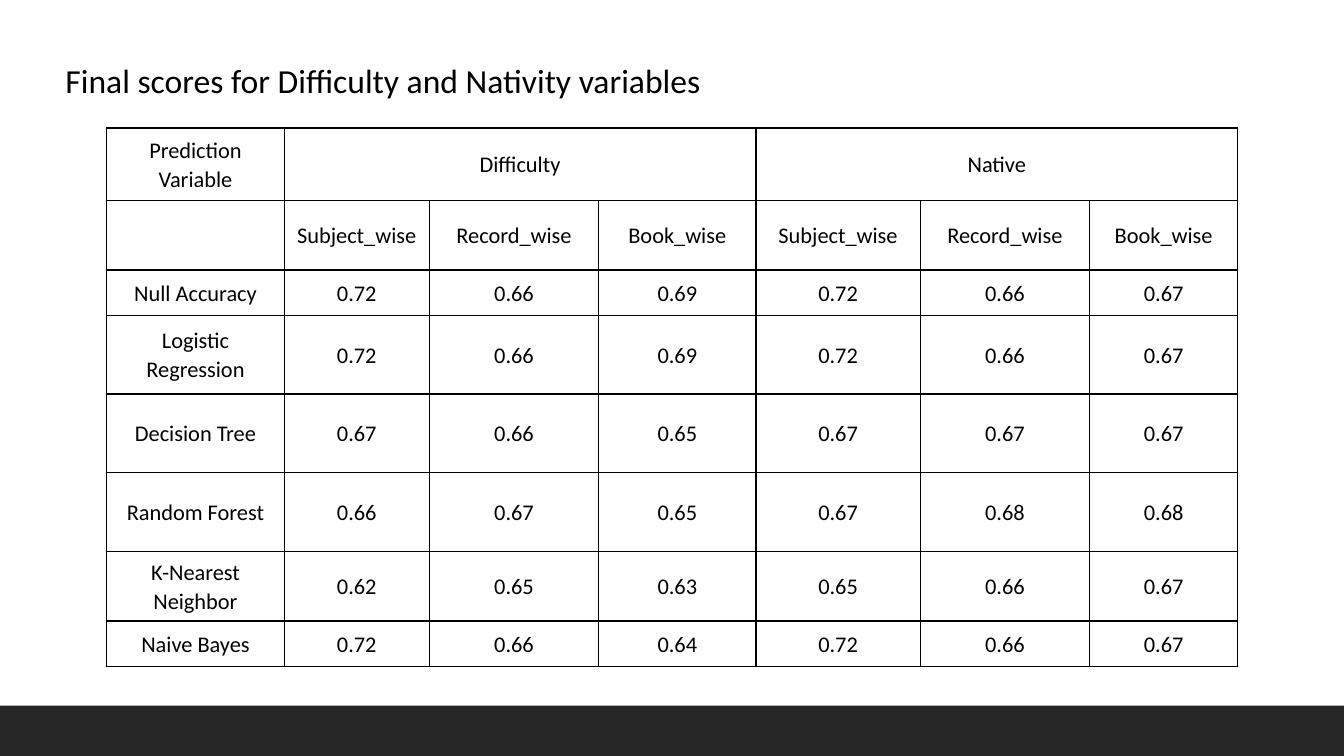
from pptx import Presentation
from pptx.dml.color import RGBColor
from pptx.enum.shapes import MSO_SHAPE as Shape
from pptx.enum.text import MSO_ANCHOR as Anchor, MSO_AUTO_SIZE as Fit, PP_ALIGN as Align
from pptx.oxml import parse_xml
from pptx.oxml.ns import nsdecls
from pptx.util import Pt

BLACK = RGBColor(0x00, 0x00, 0x00)
DARK = RGBColor(0x26, 0x26, 0x26)

WIDE, HIGH = 960, 540
COLS = [126.7, 103.7, 121, 112.3, 117.4, 121, 105.8]
ROWS = [51.8, 49.7, 32.4, 56.2, 56.2, 56.2, 49.7, 32.4]

TITLE = {"name": "Calibri", "size": Pt(24)}
BODY = {"name": "Calibri", "size": Pt(16)}
PARA = {"alignment": Align.CENTER, "line_spacing": 1.07, "space_after": Pt(8)}
CELL = {
    "vertical_anchor": Anchor.MIDDLE,
    "margin_left": Pt(5), "margin_right": Pt(5),
    "margin_top": Pt(2.9), "margin_bottom": Pt(2.9),
}

SPLITS = ["Subject_wise", "Record_wise", "Book_wise"]
SCORES = [
    ("Null Accuracy", "0.72 0.66 0.69 0.72 0.66 0.67"),
    ("Logistic Regression", "0.72 0.66 0.69 0.72 0.66 0.67"),
    ("Decision Tree", "0.67 0.66 0.65 0.67 0.67 0.67"),
    ("Random Forest", "0.66 0.67 0.65 0.67 0.68 0.68"),
    ("K-Nearest Neighbor", "0.62 0.65 0.63 0.65 0.66 0.67"),
    ("Naive Bayes", "0.72 0.66 0.64 0.72 0.66 0.67"),
]
GRID = [
    ["Prediction Variable", "Difficulty", "", "", "Native", "", ""],
    [""] + SPLITS * 2,
] + [[model] + marks.split() for model, marks in SCORES]


def apply(target, style):
    for key, value in style.items():
        setattr(target, key, value)


def write(para, text, font):
    para.text = text
    apply(para.font, font)
    para.font.color.rgb = BLACK


def add_band(slide, top, height):
    band = slide.shapes.add_shape(Shape.RECTANGLE, 0, Pt(top), Pt(WIDE), Pt(height))
    band.shadow.inherit = False
    band.fill.solid()
    band.fill.fore_color.rgb = DARK
    band.line.fill.background()


def add_title(slide, text):
    box = slide.shapes.add_textbox(Pt(25.2), Pt(39.6), Pt(496.8), Pt(36))
    frame = box.text_frame
    apply(frame, {"word_wrap": True, "auto_size": Fit.SHAPE_TO_FIT_TEXT})
    para = frame.paragraphs[0]
    write(para, text, TITLE)
    para.alignment = Align.CENTER


def add_edges(cell):
    props = cell._tc.get_or_add_tcPr()
    for spot, side in enumerate("LRTB"):
        props.insert(spot, parse_xml(
            f'<a:ln{side} {nsdecls("a")} w="{Pt(1)}"><a:solidFill>'
            f'<a:srgbClr val="{BLACK}"/></a:solidFill></a:ln{side}>'))


def fill_cell(cell, text):
    apply(cell, CELL)
    cell.fill.background()
    add_edges(cell)
    para = cell.text_frame.paragraphs[0]
    write(para, text, BODY)
    apply(para, PARA)


def add_scores(slide):
    table = slide.shapes.add_table(
        len(ROWS), len(COLS), Pt(76.3), Pt(91.4), Pt(sum(COLS)), Pt(sum(ROWS))).table
    apply(table, {"first_row": False, "horz_banding": False})
    for col, width in zip(table.columns, COLS):
        col.width = Pt(width)
    for row, height, texts in zip(table.rows, ROWS, GRID):
        row.height = Pt(height)
        for cell, text in zip(row.cells, texts):
            fill_cell(cell, text)
    # Each target variable spans its three splits
    for first in (1, 4):
        table.cell(0, first).merge(table.cell(0, first + 2))


def main():
    deck = Presentation()
    apply(deck, {"slide_width": Pt(WIDE), "slide_height": Pt(HIGH)})
    slide = deck.slides.add_slide(deck.slide_layouts[6])
    # Footer band
    add_band(slide, 504, 36)
    # Heading
    add_title(slide, "Final scores for Difficulty and Nativity variables")
    # Score table
    add_scores(slide)
    deck.save("out.pptx")


if __name__ == "__main__":
    main()
